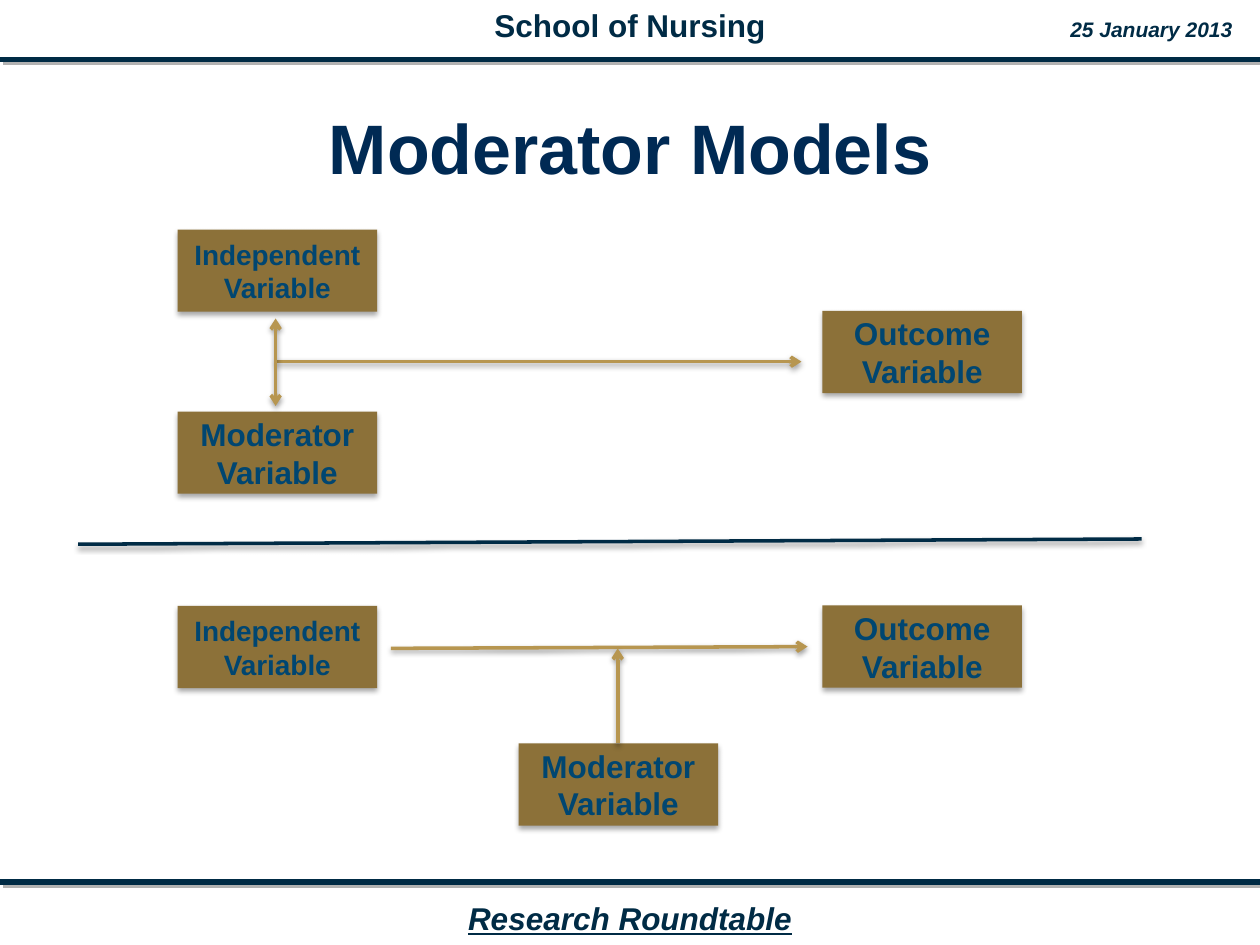
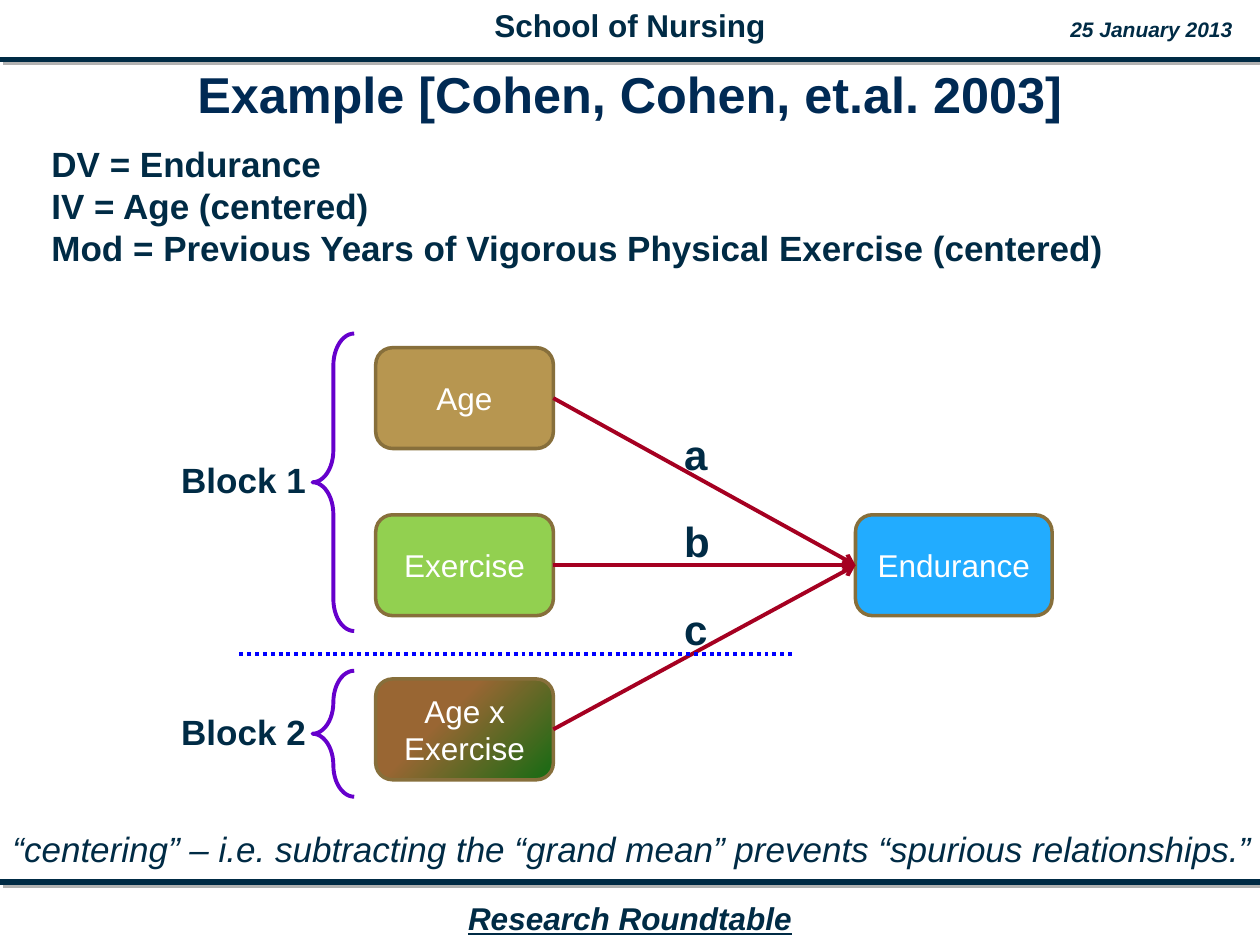
"""Build two slides on moderator models and a worked regression example."""
from dataclasses import dataclass

from lxml import etree
from pptx import Presentation
from pptx.dml.color import RGBColor
from pptx.enum.dml import MSO_LINE
from pptx.enum.shapes import MSO_CONNECTOR, MSO_SHAPE
from pptx.enum.text import MSO_ANCHOR, MSO_AUTO_SIZE, PP_ALIGN
from pptx.oxml.ns import qn
from pptx.util import Pt

LEFT, CENTER = PP_ALIGN.LEFT, PP_ALIGN.CENTER
MIDDLE = MSO_ANCHOR.MIDDLE
FIXED, GROW = MSO_AUTO_SIZE.NONE, MSO_AUTO_SIZE.SHAPE_TO_FIT_TEXT
RECTANGLE, ROUNDED = MSO_SHAPE.RECTANGLE, MSO_SHAPE.ROUNDED_RECTANGLE
LEFT_BRACE = MSO_SHAPE.LEFT_BRACE
STRAIGHT = MSO_CONNECTOR.STRAIGHT
DOTTED = MSO_LINE.ROUND_DOT
LEFT_SITE, RIGHT_SITE = 1, 3
TITLE_ONLY = 5


@dataclass(frozen=True)
class Shadow:
    color: str
    opacity: int
    blur: float
    distance: float
    angle: int


@dataclass(frozen=True)
class Theme:
    font: str = "Arial"
    navy: str = "002B45"
    title: str = "002A54"
    white: str = "FFFFFF"
    box: str = "8C7139"
    box_text: str = "004671"
    gold: str = "B79650"
    outline: str = "876F3B"
    blue: str = "22ACFF"
    green: str = "92D050"
    brown: str = "996633"
    dark_green: str = "156B13"
    path_red: str = "A50021"
    dots: str = "0000FF"
    brace: str = "6600CC"
    title_size: float = 40
    long_title_size: float = 28.8
    letter_size: float = 24
    body_size: float = 20
    box_size: float = 18
    small_box_size: float = 16
    date_size: float = 12
    rule_shadow: Shadow = Shadow("B2B2B2", 100, 0, 2.8, 45)
    box_shadow: Shadow = Shadow("000000", 35, 3.1, 1.8, 90)
    line_shadow: Shadow = Shadow("000000", 38, 3.1, 1.6, 90)


def rgb(color):
    return RGBColor.from_string(color)


def write_text(frame, text, *, font, size, color, bold=False, italic=False,
               underline=False, align=LEFT, spacing=None):
    for index, line in enumerate(text.split("\n")):
        paragraph = frame.paragraphs[0] if index == 0 else frame.add_paragraph()
        paragraph.alignment = align
        if spacing:
            paragraph.line_spacing = spacing
        run = paragraph.add_run()
        run.text = line
        run.font.name = font
        run.font.size = Pt(size)
        run.font.color.rgb = rgb(color)
        run.font.bold = bold
        run.font.italic = italic
        run.font.underline = underline


def set_shadow(shape, shadow):
    effects = etree.SubElement(shape._element.spPr, qn("a:effectLst"))
    if shadow:
        outer = etree.SubElement(
            effects, qn("a:outerShdw"), blurRad=str(Pt(shadow.blur)),
            dist=str(Pt(shadow.distance)), dir=str(shadow.angle * 60000),
            algn="ctr", rotWithShape="0")
        color = etree.SubElement(outer, qn("a:srgbClr"), val=shadow.color)
        etree.SubElement(color, qn("a:alpha"), val=str(shadow.opacity * 1000))


class Deck:
    def __init__(self, theme):
        self.theme = theme
        self.presentation = Presentation()
        self.presentation.slide_width = Pt(720)
        self.presentation.slide_height = Pt(540)
        self.slide = None

    def add_slide(self, title, top, height, size):
        theme = self.theme
        layout = self.presentation.slide_layouts[TITLE_ONLY]
        self.slide = self.presentation.slides.add_slide(layout)
        for y in (33.8, 504):
            self.line((0, y), (720, y), theme.navy, 3, shadow=theme.rule_shadow)
        self.text("School of Nursing", 272, 0, 176, 29,
                  size=theme.box_size, bold=True, align=CENTER)
        self.text("25 January 2013", 604, 6, 108, 22,
                  size=theme.date_size, bold=True, italic=True, align=CENTER)
        self.text("Research Roundtable", 259, 510, 202, 29, size=theme.box_size,
                  bold=True, italic=True, underline=True, align=CENTER)
        self.title(title, top, height, size)

    def title(self, text, top, height, size):
        shape = self.slide.shapes.title
        shape.left, shape.top = Pt(18), Pt(top)
        shape.width, shape.height = Pt(684), Pt(height)
        frame = shape.text_frame
        frame.auto_size = FIXED
        frame.vertical_anchor = MIDDLE
        frame.margin_left = frame.margin_right = Pt(3.6)
        write_text(frame, text, font=self.theme.font, size=size,
                   color=self.theme.title, bold=True, align=CENTER, spacing=0.85)

    def text(self, text, left, top, width, height, **style):
        shape = self.slide.shapes.add_textbox(Pt(left), Pt(top), Pt(width), Pt(height))
        shape.text_frame.word_wrap = False
        shape.text_frame.auto_size = GROW
        write_text(shape.text_frame, text, font=self.theme.font,
                   color=self.theme.navy, **style)

    def shape(self, kind, left, top, width, height, fill=None, outline=None,
              weight=2, shadow=None):
        shape = self.slide.shapes.add_shape(
            kind, Pt(left), Pt(top), Pt(width), Pt(height))
        if isinstance(fill, tuple):
            shape.fill.gradient()
            shape.fill.gradient_angle = 315
            for stop, position, color in zip(shape.fill.gradient_stops, (0.38, 1), fill):
                stop.position = position
                stop.color.rgb = rgb(color)
        elif fill:
            shape.fill.solid()
            shape.fill.fore_color.rgb = rgb(fill)
        else:
            shape.fill.background()
        if outline:
            shape.line.color.rgb = rgb(outline)
            shape.line.width = Pt(weight)
        else:
            shape.line.fill.background()
        set_shadow(shape, shadow)
        return shape

    def variable(self, name, left, top, size):
        theme = self.theme
        shape = self.shape(RECTANGLE, left, top, 114, 47, theme.box,
                           shadow=theme.box_shadow)
        shape.text_frame.vertical_anchor = MIDDLE
        write_text(shape.text_frame, f"{name}\nVariable", font=theme.font, size=size,
                   color=theme.box_text, bold=True, align=CENTER)

    def factor(self, name, left, top, width, fill):
        theme = self.theme
        shape = self.shape(ROUNDED, left, top, width, 57.6, fill, theme.outline)
        shape.text_frame.vertical_anchor = MIDDLE
        write_text(shape.text_frame, name, font=theme.font, size=theme.box_size,
                   color=theme.white, align=CENTER)
        return shape

    def brace(self, left, top, width, height):
        shape = self.shape(LEFT_BRACE, left, top, width, height,
                           outline=self.theme.brace, weight=2.25)
        shape.adjustments[0] = 0.77

    def line(self, start, end, color, weight, *, dash=None, arrows=(), shadow=None):
        connector = self.slide.shapes.add_connector(
            STRAIGHT, *(Pt(value) for value in (*start, *end)))
        connector.line.color.rgb = rgb(color)
        connector.line.width = Pt(weight)
        if dash:
            connector.line.dash_style = dash
        for arrow in arrows:
            etree.SubElement(connector.line._ln, qn(f"a:{arrow}"), type="arrow")
        set_shadow(connector, shadow)
        return connector

    def model_arrow(self, start, end, arrows=("tailEnd",)):
        self.line(start, end, self.theme.gold, 2, arrows=arrows,
                  shadow=self.theme.line_shadow)

    def link(self, source, target):
        connector = self.line((0, 0), (1, 1), self.theme.path_red, 2.25,
                              arrows=("tailEnd",))
        connector.begin_connect(source, RIGHT_SITE)
        connector.end_connect(target, LEFT_SITE)


def build_models(deck):
    theme = deck.theme
    deck.add_slide("Moderator Models", 46.8, 81.4, theme.title_size)
    cause_left, outcome_left = 101.5, 470
    for name, left, top, size in (
            ("Independent", cause_left, 131.2, theme.small_box_size),
            ("Outcome", outcome_left, 177.7, theme.box_size),
            ("Moderator", cause_left, 235.2, theme.box_size),
            ("Independent", cause_left, 346.3, theme.small_box_size),
            ("Outcome", outcome_left, 346, theme.box_size),
            ("Moderator", 296.4, 424.8, theme.box_size)):
        deck.variable(name, left, top, size)
    deck.model_arrow((157.5, 206.7), (458, 206.7))
    deck.model_arrow((157.5, 182), (157.5, 232), ("headEnd", "tailEnd"))
    deck.line((44.6, 311), (652.4, 308), theme.navy, 2, shadow=theme.line_shadow)
    deck.model_arrow((223.4, 370.5), (461.5, 369.5))
    deck.model_arrow((353, 424.8), (353, 370.5))


def build_example(deck):
    theme = deck.theme
    deck.add_slide("Example [Cohen, Cohen, et.al. 2003]", 36, 39.6,
                   theme.long_title_size)
    deck.text("DV = Endurance\nIV = Age (centered)\n"
              "Mod = Previous Years of Vigorous Physical Exercise (centered)",
              22.3, 77.8, 620, 80, size=theme.body_size, bold=True)
    endurance = deck.factor("Endurance", 488.9, 294.2, 112.3, theme.blue)
    for name, top, fill in (("Age", 198.7, theme.gold),
                            ("Exercise", 294.2, theme.green),
                            ("Age x Exercise", 388, (theme.brown, theme.dark_green))):
        deck.link(deck.factor(name, 214.7, top, 101.5, fill), endurance)
    deck.line((136.8, 373.5), (453.6, 373.5), theme.dots, 2.25, dash=DOTTED)
    for index, letter in enumerate("abc"):
        deck.text(letter, 383.8, 241.2 + 50 * index, 28, 36.5,
                  size=theme.letter_size, bold=True)
    for name, top, height in (("Block 1", 190.6, 170), ("Block 2", 383.3, 72)):
        deck.brace(178.6, top, 23.8, height)
        deck.text(name, 96.5, top + height / 2 - 17, 86.4, 31.7,
                  size=theme.body_size, bold=True)
    deck.text("“centering” – i.e. subtracting the “grand mean” prevents "
              "“spurious relationships.”", 0, 469.4, 738.7, 31.7,
              size=theme.body_size, italic=True)


def main():
    deck = Deck(Theme())
    build_models(deck)
    build_example(deck)
    deck.presentation.save("out.pptx")


if __name__ == "__main__":
    main()
